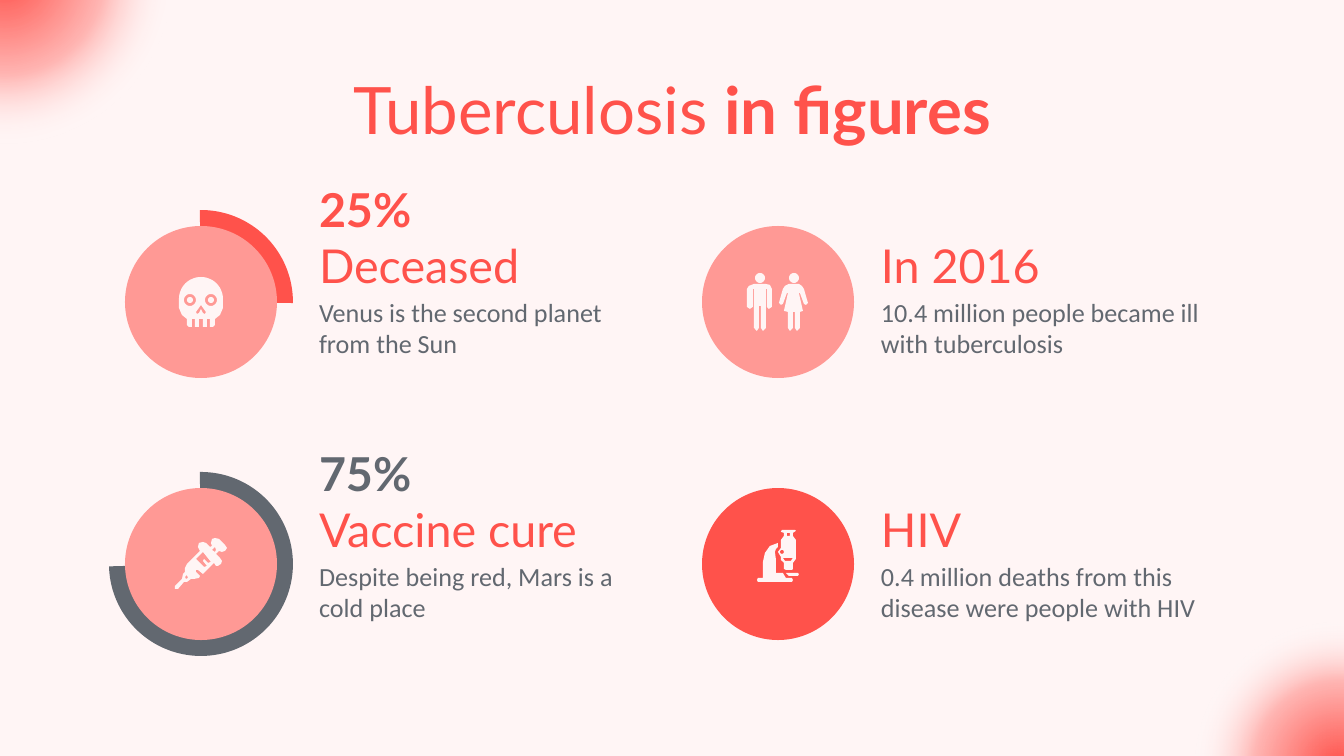
from math import cos, radians, sin

from lxml import etree
from pptx import Presentation
from pptx.dml.color import RGBColor
from pptx.enum.shapes import MSO_SHAPE
from pptx.enum.text import MSO_ANCHOR, MSO_AUTO_SIZE, PP_ALIGN
from pptx.oxml.ns import qn
from pptx.util import Emu, Pt

ELLIPSE, PIE = MSO_SHAPE.OVAL, MSO_SHAPE.PIE
MIDDLE, NO_AUTOFIT = MSO_ANCHOR.MIDDLE, MSO_AUTO_SIZE.NONE
LEFT, CENTER = PP_ALIGN.LEFT, PP_ALIGN.CENTER

SLIDE_WIDTH, SLIDE_HEIGHT = 1344, 756
EMU_PER_PX = 9144000 / SLIDE_WIDTH
PATH_UNITS = 10  # freeform units per px, for smooth curves

RED, PINK, GRAY, PALE = "FF524B", "FF9995", "626870", "FFF5F5"
BADGE = 152
RING = 16
INSET = 13
GLOW_STOPS = ((0, RED, 100), (39, RED, 38), (66, "FFFFFF", 0), (100, "FFFFFF", 0))


def px(length):
    return Emu(round(length * EMU_PER_PX))


def color(value):
    return RGBColor.from_string(value)


def arc(center_x, center_y, radius, start=0, end=360):
    """Points along a circle, clockwise from the right, in px."""
    angles = [radians(start + (end - start) * step / 24) for step in range(25)]
    return [(center_x + radius * cos(a), center_y + radius * sin(a)) for a in angles]


# Icon contours in px from the badge's corner; inner contours cut holes.
SKULL = [[
    arc(76, 73, 22, 180, 360) + [
        (98, 82), (95, 89), (90, 93), (90, 99), (88, 101), (85, 101), (85, 93),
        (82, 93), (82, 101), (78, 101), (78, 93), (74, 93), (74, 101), (70, 101),
        (70, 93), (67, 93), (67, 101), (64, 101), (62, 99), (62, 93), (57, 89), (54, 82)],
    arc(65, 74, 6), arc(65, 74, 3), arc(86, 74, 6), arc(86, 74, 3),
    [(76, 79), (81, 86), (80, 88), (78, 87), (76, 83), (74, 87), (72, 88), (71, 86)],
]]
SYRINGE = [[
    [(90, 50), (87, 51), (86, 55), (87, 58), (85, 59), (81, 55), (78, 54), (74, 55),
     (73, 59), (75, 63), (62, 76), (60, 80), (60, 84), (58, 86), (57, 91), (50, 98),
     (50, 101), (53, 101), (59, 94), (62, 94), (66, 91), (69, 91), (74, 90), (75, 88),
     (71, 84), (71, 82), (73, 82), (78, 86), (89, 75), (91, 78), (93, 78), (96, 76),
     (97, 73), (95, 70), (91, 66), (94, 63), (97, 64), (100, 63), (102, 60), (100, 57),
     (94, 51)],
    [(90, 59), (91, 62), (90, 64), (87, 62)],
    [(78, 64), (86, 74), (83, 75), (79, 71), (78, 73), (82, 78), (79, 79), (71, 71)],
    [(62, 87), (63, 90), (61, 91), (60, 89)],
]]
MAN = [
    (52, 58), (47, 60), (45, 63), (45, 81), (48, 83), (51, 81), (51, 63), (52, 63),
    (52, 102), (55, 105), (57, 102), (57, 80), (59, 80), (59, 102), (61, 105), (64, 102),
    (64, 63), (65, 63), (65, 81), (67, 83), (70, 81), (70, 63), (68, 59), (64, 58)]
WOMAN = [
    (87, 58), (83, 60), (81, 63), (77, 77), (79, 79), (81, 78), (85, 67), (86, 67),
    (82, 85), (86, 86), (86, 102), (88, 105), (91, 102), (91, 86), (93, 86), (93, 102),
    (95, 105), (98, 102), (98, 86), (101, 85), (97, 67), (98, 67), (102, 78), (104, 79),
    (106, 77), (102, 63), (100, 60), (97, 58)]
PEOPLE = [[MAN], [arc(58, 52, 5)], [WOMAN], [arc(92, 52, 5)]]
MICROSCOPE_TUBE = [
    [(80, 42), (79, 44), (82, 45), (82, 48), (79, 52), (79, 60), (76, 64), (79, 69),
     (79, 72), (82, 75), (82, 81), (84, 82), (90, 82), (91, 81), (91, 75), (94, 71),
     (94, 52), (91, 48), (91, 45), (94, 43), (93, 42)],
    [(85, 45), (88, 45), (88, 48), (85, 48)],
    arc(80, 64, 2),
    [(81, 70), (91, 70), (89, 73), (83, 73)]]
MICROSCOPE_STAGE = [(84, 85), (87, 88), (96, 88), (97, 86), (96, 85)]
MICROSCOPE_BASE = [
    (76, 55), (68, 58), (63, 65), (61, 74), (61, 90), (56, 90), (55, 92), (56, 94),
    (90, 94), (91, 92), (90, 90), (84, 90), (81, 85), (74, 85), (74, 71), (73, 64),
    (74, 61), (76, 59)]
MICROSCOPE = [MICROSCOPE_TUBE, [MICROSCOPE_STAGE], [MICROSCOPE_BASE]]

# column, row, icon, badge colour, heading, description, (percent, colour, pie end)
FIGURES = [
    (0, 0, SKULL, PINK, "Deceased", "Venus is the second planet from the Sun",
     ("25%", RED, 0.39)),
    (0, 1, SYRINGE, PINK, "Vaccine cure", "Despite being red, Mars is a cold place",
     ("75%", GRAY, 107.1)),
    (1, 0, PEOPLE, PINK, "In 2016", "10.4 million people became ill with tuberculosis", None),
    (1, 1, MICROSCOPE, RED, "HIV",
     "0.4 million deaths from this disease were people with HIV", None),
]
# badge left, caption left, caption width
COLUMNS = [(125, 306, 321), (702, 868, 367)]


def paint(shape, fill):
    shape.shadow.inherit = False
    shape.fill.solid()
    shape.fill.fore_color.rgb = color(fill)
    shape.line.fill.background()


def add_preset(slide, preset, left, top, size, fill):
    shape = slide.shapes.add_shape(preset, px(left), px(top), px(size), px(size))
    paint(shape, fill)
    return shape


def add_glow(slide, left, top, size):
    """Circle that fades from its centre to nothing."""
    shape = add_preset(slide, ELLIPSE, left, top, size, RED)
    gradient = etree.Element(qn("a:gradFill"), rotWithShape="1")
    stops = etree.SubElement(gradient, qn("a:gsLst"))
    for position, value, opacity in GLOW_STOPS:
        stop = etree.SubElement(stops, qn("a:gs"), pos=str(position * 1000))
        tint = etree.SubElement(stop, qn("a:srgbClr"), val=value)
        etree.SubElement(tint, qn("a:alpha"), val=str(opacity * 1000))
    circle = etree.SubElement(gradient, qn("a:path"), path="circle")
    etree.SubElement(circle, qn("a:fillToRect"), l="50000", t="50000", r="50000", b="50000")
    properties = shape.fill._xPr
    properties.replace(properties.find(qn("a:solidFill")), gradient)


def write(shape, runs, size, font_name, font_color, alignment=LEFT):
    frame = shape.text_frame
    frame.word_wrap = True
    frame.auto_size = NO_AUTOFIT
    frame.vertical_anchor = MIDDLE
    frame.margin_left = frame.margin_right = frame.margin_top = frame.margin_bottom = px(INSET)
    paragraph = frame.paragraphs[0]
    paragraph.alignment = alignment
    for text, bold in runs:
        run = paragraph.add_run()
        run.text = text
        run.font.size = Pt(size)
        run.font.name = font_name
        run.font.bold = bold
        run.font.color.rgb = color(font_color)


def add_title(slide, left, top, width, height):
    title = slide.shapes.title
    title.left, title.top, title.width, title.height = map(px, (left, top, width, height))
    write(title, [("Tuberculosis", False), (" in figures", True)], 35, "Lato", RED, CENTER)


def add_icon(slide, left, top, outlines):
    for contours in outlines:
        scaled = [[(x * PATH_UNITS, y * PATH_UNITS) for x, y in points] for points in contours]
        builder = slide.shapes.build_freeform(*scaled[0][0], scale=EMU_PER_PX / PATH_UNITS)
        builder.add_line_segments(scaled[0][1:])
        for points in scaled[1:]:
            builder.move_to(*points[0])
            builder.add_line_segments(points[1:])
        paint(builder.convert_to_shape(px(left), px(top)), PALE)


def add_badge(slide, left, top, fill, icon, percent):
    if percent:
        _, ring_color, end = percent
        ring = add_preset(slide, PIE, left - RING, top - RING, BADGE + 2 * RING, ring_color)
        ring.adjustments[0], ring.adjustments[1] = 161.59, end
    add_preset(slide, ELLIPSE, left, top, BADGE, fill)
    add_icon(slide, left, top, icon)


def add_caption(slide, left, top, width, heading, description, percent):
    lines = [(0, 52, width, heading, 25, "Lato", RED, False),
             (53, 71, width, description, 14, "Calibri", GRAY, False)]
    if percent:
        lines.insert(0, (-59, 58, 164, percent[0], 25, "Lato", percent[1], True))
    for offset, height, line_width, text, size, font_name, font_color, bold in lines:
        box = slide.shapes.add_textbox(px(left), px(top + offset), px(line_width), px(height))
        write(box, [(text, bold)], size, font_name, font_color)


def main():
    presentation = Presentation()
    presentation.slide_width, presentation.slide_height = px(SLIDE_WIDTH), px(SLIDE_HEIGHT)
    slide = presentation.slides.add_slide(presentation.slide_layouts[5])
    slide.background.fill.solid()
    slide.background.fill.fore_color.rgb = color(PALE)
    add_glow(slide, -176, -204, 360)
    add_glow(slide, 1185, 612, 308)
    add_title(slide, 106, 66, 1133, 85)
    for column, row, icon, fill, heading, description, percent in FIGURES:
        badge_left, caption_left, caption_width = COLUMNS[column]
        add_badge(slide, badge_left, 226 + 262 * row, fill, icon, percent)
        add_caption(slide, caption_left, 239 + 264 * row, caption_width,
                    heading, description, percent)
    presentation.save("out.pptx")


if __name__ == "__main__":
    main()
